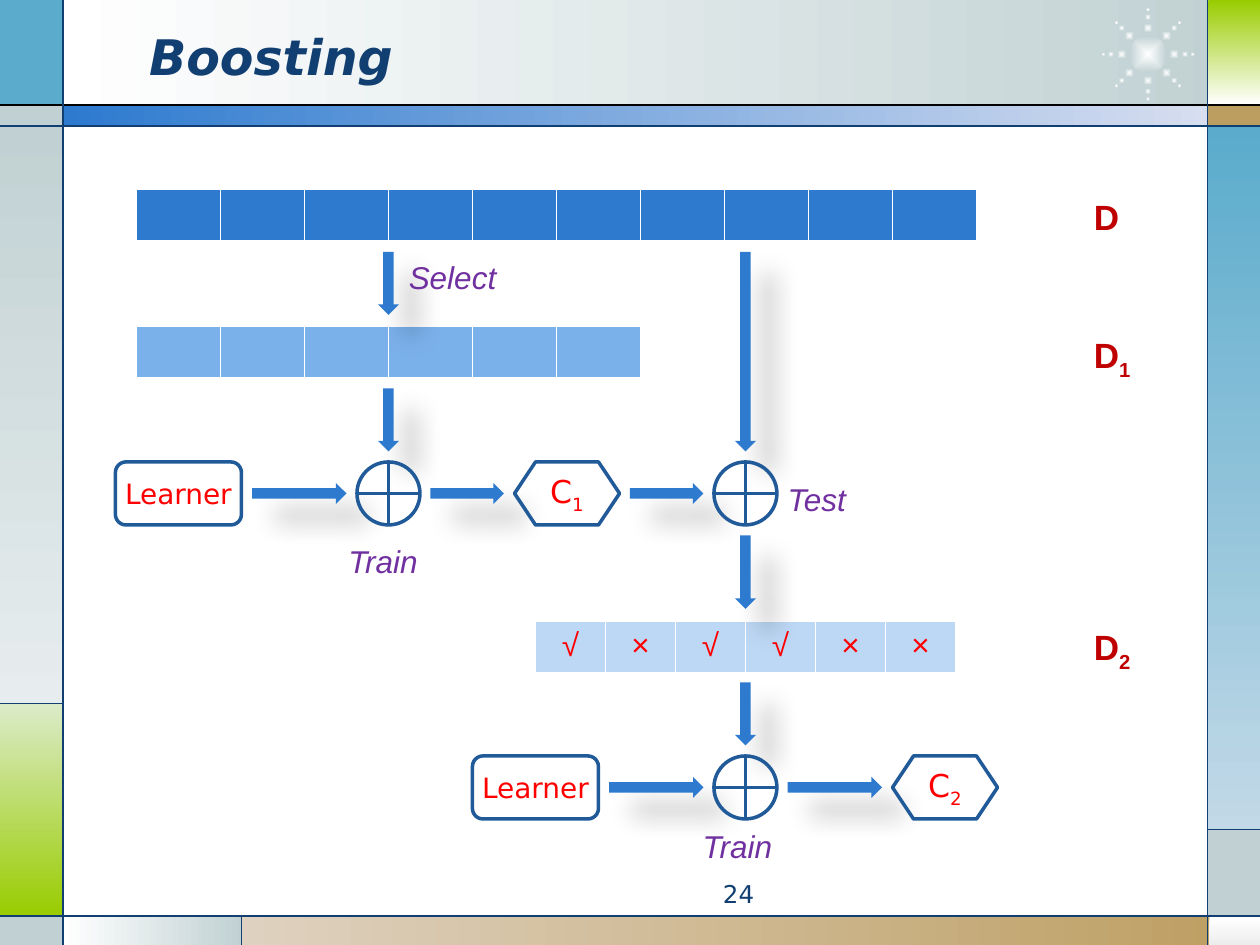
"""Build the Boosting slide: a framed template with a data-flow diagram of two learners."""
import math
import pptx
import pptx.dml.color
import pptx.enum.shapes
import pptx.enum.text
import pptx.oxml
import pptx.oxml.ns
import pptx.util

Pt = pptx.util.Pt
colour = pptx.dml.color.RGBColor.from_string
qn = pptx.oxml.ns.qn
KIND = pptx.enum.shapes.MSO_SHAPE
ALIGN = pptx.enum.text.PP_ALIGN
ANCHOR = pptx.enum.text.MSO_ANCHOR
NAVY, BLUE, OUTLINE = "113F71", "2D7ACF", "215A99"
RED, CRIMSON, PURPLE = "FF0000", "C00000", "7030A0"
SANS, ARIAL = "DejaVu Sans", "Arial"
DRAWING = 'xmlns:a="http://schemas.openxmlformats.org/drawingml/2006/main"'

deck = pptx.Presentation()
deck.slide_width, deck.slide_height = Pt(720), Pt(540)
slide = deck.slides.add_slide(deck.slide_layouts[5])
shapes = slide.shapes


def add_shape(kind, box, fill=None, outline=None):
    """Add a preset shape; fill is a hex string or (start, end, angle)."""
    shape = shapes.add_shape(kind, *map(Pt, box))
    shape.shadow.inherit = False
    if isinstance(fill, tuple):
        shape.fill.gradient()
        shape.fill.gradient_angle = fill[2]
        for stop, shade in zip(shape.fill.gradient_stops, fill):
            stop.color.rgb = colour(shade)
    elif fill:
        shape.fill.solid()
        shape.fill.fore_color.rgb = colour(fill)
    else:
        shape.fill.background()
    if outline:
        shape.line.color.rgb = colour(outline)
        shape.line.width = Pt(2)
    else:
        shape.line.fill.background()
    return shape


def add_text(frame, parts, size, font, shade, align=ALIGN.LEFT, bold=False, italic=False):
    """Write the first part normally and any later part as a subscript."""
    paragraph = frame.paragraphs[0]
    paragraph.alignment = align
    for position, part in enumerate(parts):
        run = paragraph.add_run()
        run.text = part
        run.font.size, run.font.name = Pt(size), font
        run.font.bold, run.font.italic = bold, italic
        run.font.color.rgb = colour(shade)
        if position:
            run.font._element.set("baseline", "-25000")


for box, fill in [
    ((36, 0, 667.5, 60.5), ("FFFFFF", "C1D1D3", 0)),
    ((0, 0, 36, 60.5), "5AABCC"),
    ((0, 60, 36, 12), "C1D1D3"),
    ((0, 72, 36, 330), ("C1D1D3", "E7EDEE", 270)),
    ((0, 402, 36, 122), ("DBEBC9", "99CC00", 270)),
    ((0, 524, 36, 16), "C1D1D3"),
    ((36, 523.5, 103, 16.5), ("FFFFFF", "C1D1D3", 0)),
    ((138, 523.5, 582, 16.5), ("DED1BF", "BD9E61", 0)),
    ((691, 524, 29, 16), ("FFFFFF", "EDEDED", 270)),
    ((690, 474, 30, 50), "C1D1D3"),
    ((690, 72, 30, 402), ("5AABCC", "C2D9E7", 270)),
    ((690, 60, 30, 12), "BD9E61"),
    ((690.5, 0, 29.5, 60), ("99CC00", "FFFFFF", 270)),
    ((36, 60, 654.5, 12), (BLUE, "D7DEF0", 0)),
]:
    add_shape(KIND.RECTANGLE, box, fill)

star_x, star_y = 656, 31
sparkles = [(star_x, star_y, 21.5)]
for ray in range(8):
    angle = math.radians(45 * ray)
    for distance, diameter in [(15, 5.4), (21.2, 3.6), (25.5, 2.5)]:
        sparkles.append((star_x + distance * math.cos(angle),
                         star_y + distance * math.sin(angle), diameter))
for x, y, diameter in sparkles:
    corner = (x - diameter / 2, y - diameter / 2)
    sparkle = add_shape(KIND.OVAL, (*corner, diameter, diameter), ("FFFFFF", "C1D1D3", 0))
    linear = sparkle._element.spPr.find(".//" + qn("a:lin"))
    linear.getparent().replace(linear, pptx.oxml.parse_xml(
        f'<a:path {DRAWING} path="shape">'
        '<a:fillToRect l="50000" t="50000" r="50000" b="50000"/></a:path>'))

for ends, shade in [
    ((0, 60, 720, 60), "000000"),
    ((0, 72, 720, 72), NAVY),
    ((0, 523.5, 720, 523.5), NAVY),
    ((36, 0, 36, 540), NAVY),
    ((690, 0, 690, 540), NAVY),
    ((36, 402, 0, 402), NAVY),
    ((138, 523.5, 138, 540), NAVY),
    ((690, 474, 720, 474), NAVY),
]:
    rule = shapes.add_connector(pptx.enum.shapes.MSO_CONNECTOR.STRAIGHT, *map(Pt, ends))
    rule.line.color.rgb = colour(shade)
    rule.line.width = Pt(0.75)
    rule._element.spPr.append(pptx.oxml.parse_xml(f"<a:effectLst {DRAWING}/>"))

title = shapes.title
title.left, title.top, title.width, title.height = map(Pt, (78, 9.5, 528, 44.5))
title.text_frame.vertical_anchor = ANCHOR.MIDDLE
add_text(title.text_frame, ["Boosting"], 28, SANS, NAVY, bold=True, italic=True)
shapes._spTree.append(title._element)

page_number = shapes.add_textbox(*map(Pt, (270, 499, 168, 19.5)))
page_number.text_frame.word_wrap = True
add_text(page_number.text_frame, ["24"], 14, SANS, NAVY, ALIGN.RIGHT)

for x, y, cell_width, marks, fill in [
    (78, 108, 48, [""] * 10, BLUE),
    (78, 186.5, 48, [""] * 6, "7BB1EB"),
    (306, 355, 40, "√×√√××", "BDD8F5"),
]:
    samples = shapes.add_table(1, len(marks), Pt(x), Pt(y),
                               Pt(cell_width * len(marks)), Pt(29.5)).table
    for cell, mark in zip(samples.rows[0].cells, marks):
        cell.fill.solid()
        cell.fill.fore_color.rgb = colour(fill)
        if mark:
            add_text(cell.text_frame, [mark], 18, ARIAL, RED, ALIGN.CENTER)

for kind, x, y, length in [
    (KIND.DOWN_ARROW, 216, 144, 36),
    (KIND.DOWN_ARROW, 216, 222, 36),
    (KIND.DOWN_ARROW, 420, 144, 114),
    (KIND.DOWN_ARROW, 420, 306, 42),
    (KIND.DOWN_ARROW, 420, 390, 36),
    (KIND.RIGHT_ARROW, 144, 276, 54),
    (KIND.RIGHT_ARROW, 246, 276, 42),
    (KIND.RIGHT_ARROW, 360, 276, 42),
    (KIND.RIGHT_ARROW, 348, 444, 54),
    (KIND.RIGHT_ARROW, 450, 444, 54),
]:
    extent = (12, length) if kind == KIND.DOWN_ARROW else (length, 12)
    arrow = add_shape(kind, (x, y, *extent), BLUE)
    arrow._element.spPr.find(qn("a:effectLst")).append(pptx.oxml.parse_xml(
        f'<a:outerShdw {DRAWING} blurRad="{Pt(15)}" dist="{Pt(18)}" dir="2700000" '
        'algn="tl" rotWithShape="0"><a:srgbClr val="000000">'
        '<a:alpha val="30000"/></a:srgbClr></a:outerShdw>'))

for x, y in [(204, 264), (408, 264), (408, 432)]:
    add_shape(KIND.FLOWCHART_OR, (x, y, 36, 36), outline=OUTLINE)

for kind, x, y, width, parts, size in [
    (KIND.FLOWCHART_ALTERNATE_PROCESS, 66, 264, 72, ["Learner"], 16),
    (KIND.FLOWCHART_PREPARATION, 294, 264, 60, ["C", "1"], 18),
    (KIND.FLOWCHART_ALTERNATE_PROCESS, 270, 432, 72, ["Learner"], 16),
    (KIND.FLOWCHART_PREPARATION, 510, 432, 60, ["C", "2"], 18),
]:
    node = add_shape(kind, (x, y, width, 36), outline=OUTLINE)
    node.text_frame.margin_left = node.text_frame.margin_right = 0
    node.text_frame.vertical_anchor = ANCHOR.MIDDLE
    add_text(node.text_frame, parts, size, SANS, RED, ALIGN.CENTER)

dataset_style = dict(size=20, font=ARIAL, shade=CRIMSON, bold=True)
step_style = dict(size=18, font=ARIAL, shade=PURPLE, italic=True)
for box, parts, style in [
    ((618, 108, 29.5, 31.5), ["D"], dataset_style),
    ((618, 187, 36.5, 31.5), ["D", "1"], dataset_style),
    ((618, 354, 36.5, 31.5), ["D", "2"], dataset_style),
    ((192, 306, 55.5, 29), ["Train"], step_style),
    ((394.5, 469, 55.5, 29), ["Train"], step_style),
    ((443, 270.5, 48, 29), ["Test"], step_style),
    ((226.5, 144, 65, 29), ["Select"], step_style),
]:
    label = shapes.add_textbox(*map(Pt, box))
    label.text_frame.word_wrap = False
    label.text_frame.auto_size = pptx.enum.text.MSO_AUTO_SIZE.SHAPE_TO_FIT_TEXT
    add_text(label.text_frame, parts, **style)

deck.save("out.pptx")
